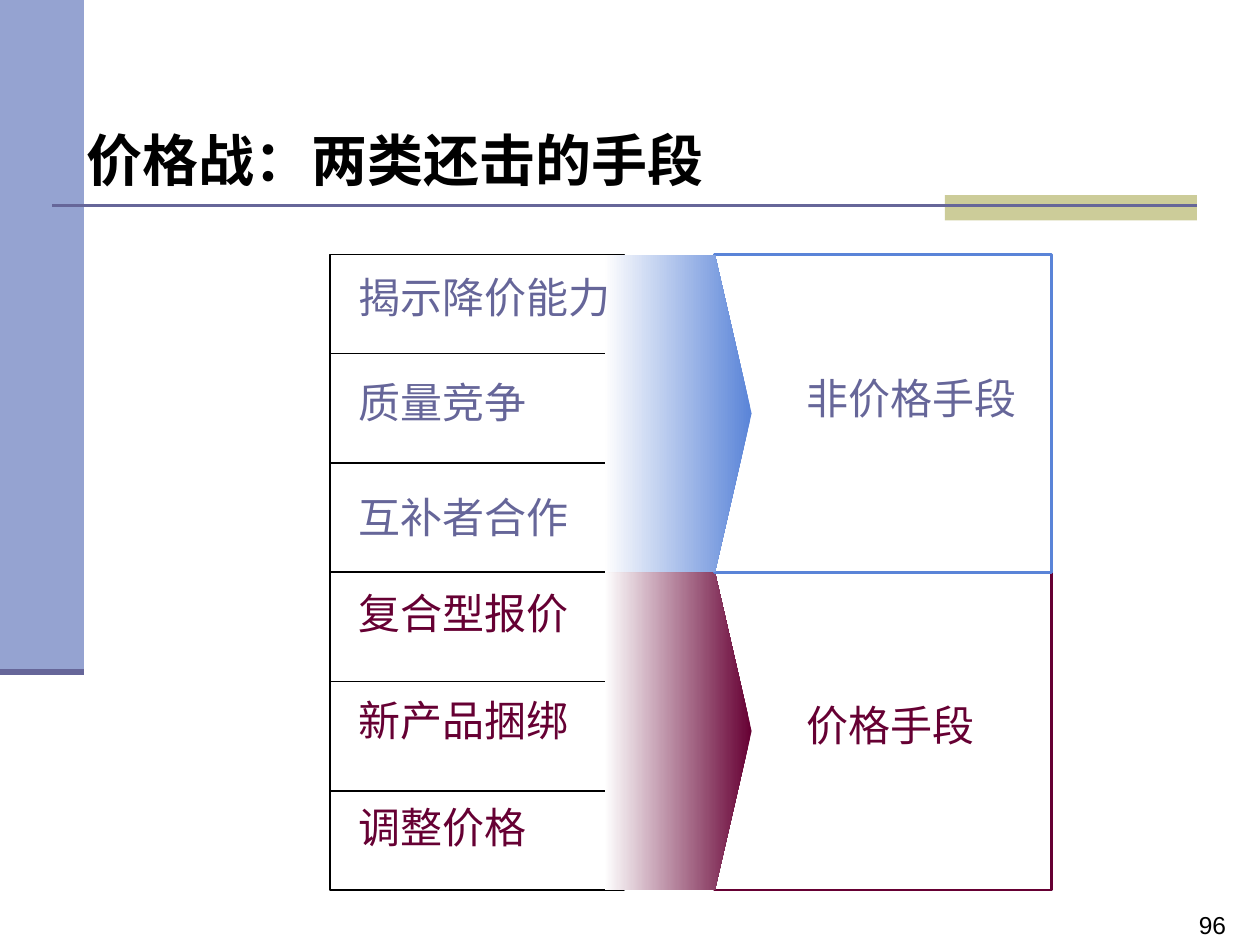
from pptx import Presentation
from pptx.dml.color import RGBColor
from pptx.enum.shapes import MSO_CONNECTOR, MSO_SHAPE
from pptx.enum.text import MSO_ANCHOR, MSO_AUTO_SIZE, PP_ALIGN
from pptx.oxml.ns import qn
from pptx.util import Pt
from lxml.etree import SubElement


def color(value):
    return RGBColor.from_string(value)


class SlideBuilder:
    font_name = "Arial"
    black = "000000"
    white = "FFFFFF"
    violet = "666699"
    blue = "5A84D8"
    maroon = "660033"

    def __init__(self, slide):
        self.slide = slide

    def rectangle(self, left, top, width, height, fill=None, line=None, weight=1):
        shape = self.slide.shapes.add_shape(
            MSO_SHAPE.RECTANGLE, Pt(left), Pt(top), Pt(width), Pt(height))
        shape.shadow.inherit = False
        if fill:
            shape.fill.solid()
            shape.fill.fore_color.rgb = color(fill)
        else:
            shape.fill.background()
        if line:
            shape.line.color.rgb = color(line)
            shape.line.width = Pt(weight)
        else:
            shape.line.fill.background()
        return shape

    def line(self, left, right, top, line, weight):
        connector = self.slide.shapes.add_connector(
            MSO_CONNECTOR.STRAIGHT, Pt(left), Pt(top), Pt(right), Pt(top))
        connector.line.color.rgb = color(line)
        connector.line.width = Pt(weight)
        SubElement(connector._element.spPr, qn("a:effectLst"))
        return connector

    def arrow(self, left, shoulder, tip, top, height, fill):
        bottom = top + height
        builder = self.slide.shapes.build_freeform(Pt(left), Pt(top))
        points = [(shoulder, top), (tip, top + height / 2), (shoulder, bottom), (left, bottom)]
        builder.add_line_segments([(Pt(x), Pt(y)) for x, y in points], close=True)
        shape = builder.convert_to_shape()
        shape.shadow.inherit = False
        shape.line.fill.background()
        shape.fill.gradient()
        shape.fill.gradient_angle = 180
        for stop, value in zip(shape.fill.gradient_stops, (fill, "FEFEFE")):
            stop.color.rgb = color(value)

    def add_words(self, shape, text, size, font_color, bold=False):
        frame = shape.text_frame
        frame.word_wrap = True
        frame.auto_size = MSO_AUTO_SIZE.NONE
        frame.vertical_anchor = MSO_ANCHOR.MIDDLE
        paragraph = frame.paragraphs[0]
        paragraph.alignment = PP_ALIGN.LEFT
        run = paragraph.add_run()
        run.text = text
        run.font.name = self.font_name
        run.font.size = Pt(size)
        run.font.bold = bold
        run.font.color.rgb = color(font_color)

    def text(self, left, top, width, height, text, size, font_color):
        box = self.slide.shapes.add_textbox(Pt(left), Pt(top), Pt(width), Pt(height))
        self.add_words(box, text, size, font_color)

    def title(self, left, top, width, height, text):
        title = self.slide.shapes.title
        title.left, title.top = Pt(left), Pt(top)
        title.width, title.height = Pt(width), Pt(height)
        self.add_words(title, text, 32, self.black, bold=True)


def main():
    presentation = Presentation()
    presentation.slide_width = Pt(720)
    presentation.slide_height = Pt(540)
    builder = SlideBuilder(presentation.slides.add_slide(presentation.slide_layouts[5]))

    builder.rectangle(0, 0, 48, 384, "95A3D1")
    builder.rectangle(540, 111.5, 144, 14.5, "CCCC99")
    builder.line(30, 684, 117.5, builder.violet, 1.5)
    builder.line(0, 48, 384, builder.violet, 3.5)
    builder.text(678, 516, 42, 24.5, "96", 14, builder.black)
    builder.title(42.5, 59, 612, 64, "价格战：两类还击的手段")

    table_left, table_top, table_width = 188.6, 145.5, 168
    half_height, row_height = 181.5, 62.5
    middle = table_top + half_height
    frame = builder.rectangle(
        table_left, table_top, table_width, 2 * half_height, line=builder.black)
    for step in range(-2, 3):
        divider = builder.line(table_left, table_left + table_width,
                               middle + step * row_height, builder.black, 1)
        if step == 0:
            divider.begin_connect(frame, 1)
            divider.end_connect(frame, 3)

    groups = [
        (middle, builder.maroon, builder.maroon, "价格手段", 394.5,
         [("复合型报价", 324.7), ("新产品捆绑", 386), ("调整价格", 447)]),
        (table_top, builder.blue, builder.violet, "非价格手段", 207.4,
         [("揭示降价能力", 144), ("质量竞争", 204), ("互补者合作", 270)]),
    ]
    for top, accent, font_color, heading, heading_top, methods in groups:
        builder.rectangle(408.3, top, 192.5, half_height, builder.white, accent, 1.5)
        builder.arrow(345.6, 408.6, 429.5, top, half_height, accent)
        builder.text(453.6, heading_top, 139, 39.6, heading, 24, font_color)
        for method, method_top in methods:
            builder.text(198, method_top, 198.5, 51, method, 24, font_color)

    presentation.save("out.pptx")


if __name__ == "__main__":
    main()
